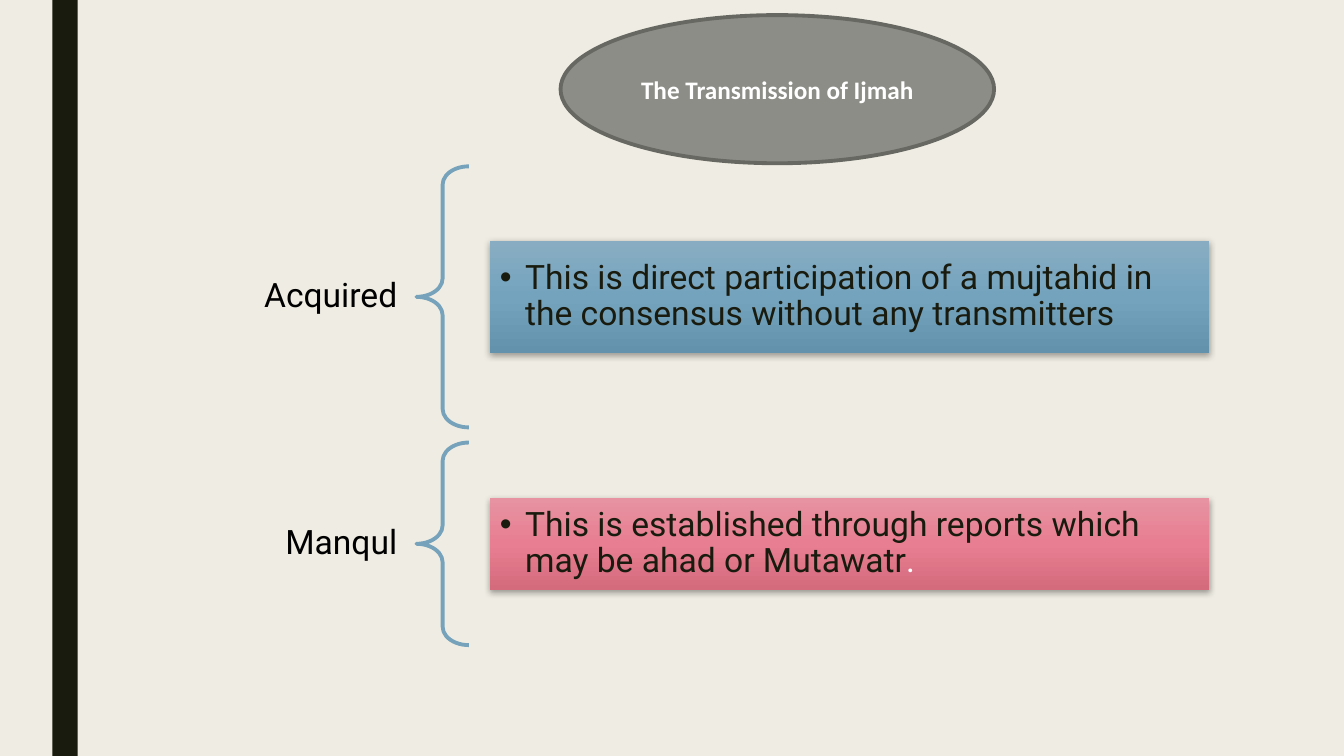
from copy import deepcopy

from lxml.etree import SubElement
from pptx import Presentation
from pptx.dml.color import RGBColor
from pptx.enum.shapes import MSO_SHAPE as SHAPE
from pptx.enum.text import MSO_ANCHOR as ANCHOR, PP_ALIGN as ALIGN
from pptx.oxml.ns import qn
from pptx.util import Inches, Pt

TITLE = "The Transmission of Ijmah"
ROWS = [
    {"label": "Acquired", "height": 2.59, "box": 1.11, "fill": "blue",
     "runs": [("This is direct participation of a mujtahid in the consensus "
               "without any transmitters", "dark")]},
    {"label": "Manqul", "height": 2.01, "box": 0.91, "fill": "pink",
     "runs": [("This is established through reports which may be ahad or Mutawatr", "dark"),
              (".", "white")]},
]
COLORS = {"paper": "EFEDE3", "dark": "191B0E", "black": "000000", "white": "FFFFFF",
          "brace": "77A2BB", "oval": "8C8D86", "oval_line": "686863"}
GRADIENTS = {"blue": ["88ADC3", "74A3BE", "6392AD"],
             "pink": ["E793A2", "E77E91", "D36B7D"]}
SLIDE_W, SLIDE_H = 13.33, 7.5
TOP, GAP, LABEL_H = 1.65, 0.15, 0.84
COLUMNS = {"label": (1.51, 2.62), "brace": (4.13, 0.52), "box": (4.86, 7.13)}
OVAL = (5.56, 0.15, 4.3, 1.47)


def rgb(name):
    return RGBColor.from_string(COLORS[name])


def inches(*values):
    return [Inches(v) for v in values]


def add_shape(kind, at, fill=None, line=None):
    sp = slide.shapes.add_shape(kind, *inches(*at))
    if fill:
        sp.fill.solid()
        sp.fill.fore_color.rgb = rgb(fill)
    else:
        sp.fill.background()
    if line:
        sp.line.color.rgb = rgb(line)
        sp.line.width = Pt(2.75)
    else:
        sp.line.fill.background()
    sp.shadow.inherit = False
    return sp


def set_frame(tf, side, edge):
    tf.word_wrap = True
    tf.vertical_anchor = ANCHOR.MIDDLE
    tf.margin_left, tf.margin_right = inches(side, side)
    tf.margin_top, tf.margin_bottom = inches(edge, edge)


def style(r, color, size=24, name="Roboto", bold=False):
    r.font.size, r.font.name, r.font.bold = Pt(size), name, bold
    r.font.color.rgb = rgb(color)


def shade(sp, hexes):
    sp.fill.gradient()
    sp.fill.gradient_angle = 270
    stops = sp._element.spPr.find(".//" + qn("a:gsLst"))
    stops.insert(1, deepcopy(stops[0]))
    for i, (stop, value) in enumerate(zip(sp.fill.gradient_stops, hexes)):
        stop.position = i / 2
        stop.color.rgb = RGBColor.from_string(value)
    shadow = SubElement(sp._element.spPr.find(qn("a:effectLst")), qn("a:outerShdw"),
                        blurRad=str(Pt(4.5)), dist=str(Pt(1.5)), dir="5400000",
                        algn="ctr", rotWithShape="0")
    color = SubElement(shadow, qn("a:srgbClr"), val=COLORS["black"])
    SubElement(color, qn("a:alpha"), val="35000")


def add_bullet(p):
    pPr = p._p.get_or_add_pPr()
    pPr.set("marL", str(Inches(0.25)))
    pPr.set("indent", str(Inches(-0.25)))
    SubElement(pPr, qn("a:buFont"), typeface="Arial")
    SubElement(pPr, qn("a:buChar"), char="•")


def add_row(row, middle):
    def place(column, height):
        x, w = COLUMNS[column]
        return x, middle - height / 2, w, height

    tb = slide.shapes.add_textbox(*inches(*place("label", LABEL_H)))
    set_frame(tb.text_frame, 0.19, 0.07)
    p = tb.text_frame.paragraphs[0]
    p.text = row["label"]
    p.alignment = ALIGN.RIGHT
    p.line_spacing = 0.9
    style(p.runs[0], "black")

    brace = add_shape(SHAPE.LEFT_BRACE, place("brace", row["height"]), line="brace")
    brace.adjustments[0] = 0.35

    box = add_shape(SHAPE.RECTANGLE, place("box", row["box"]))
    shade(box, GRADIENTS[row["fill"]])
    set_frame(box.text_frame, 0.1, 0.1)
    p = box.text_frame.paragraphs[0]
    add_bullet(p)
    p.alignment = ALIGN.LEFT
    p.line_spacing = 0.9
    for text, color in row["runs"]:
        r = p.add_run()
        r.text = text
        style(r, color)


prs = Presentation()
prs.slide_width, prs.slide_height = inches(SLIDE_W, SLIDE_H)
slide = prs.slides.add_slide(prs.slide_layouts[5])
slide.background.fill.solid()
slide.background.fill.fore_color.rgb = rgb("paper")

add_shape(SHAPE.RECTANGLE, (0.52, 0, 0.25, SLIDE_H), fill="dark")
top = TOP
for row in ROWS:
    add_row(row, top + row["height"] / 2)
    top += row["height"] + GAP

oval = add_shape(SHAPE.OVAL, OVAL, fill="oval", line="oval_line")
title = slide.shapes.title
title.left, title.top, title.width, title.height = inches(*OVAL)
oval._element.addnext(title._element)
title.text_frame.text = TITLE
set_frame(title.text_frame, 0.1, 0.05)
p = title.text_frame.paragraphs[0]
p.alignment = ALIGN.CENTER
style(p.runs[0], "white", 18, "Calibri", True)

prs.save("out.pptx")
